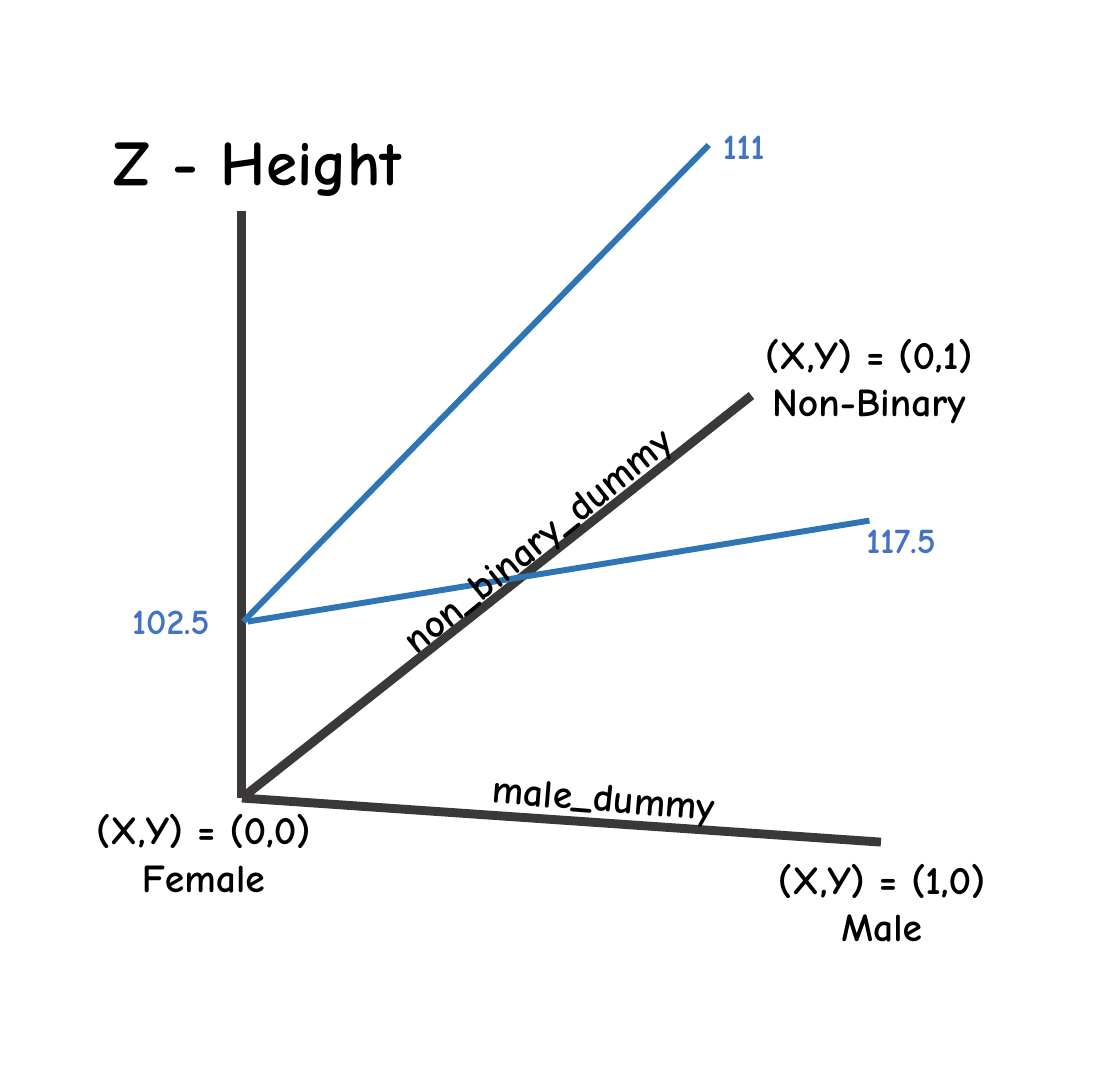
from typing import NamedTuple

from lxml import etree
from pptx import Presentation
from pptx.dml.color import RGBColor
from pptx.enum import shapes, text
from pptx.oxml import ns
from pptx.util import Pt

FONT = "Comic Neue"
INK, AXIS, SLOPE, VALUE = "000000", "3B3838", "2E75B6", "4472C4"


class Point(NamedTuple):
    x: float
    y: float


class Line(NamedTuple):
    start: Point
    end: Point
    color: str
    width: float


class Label(NamedTuple):
    words: str
    left: float
    top: float
    width: float
    height: float
    size: float = 20
    color: str = INK
    center: bool = True
    turn: float = 0


def rgb(code: str) -> RGBColor:
    return RGBColor.from_string(code)


def draw_line(slide, line: Line) -> None:
    link = slide.shapes.add_connector(
        shapes.MSO_CONNECTOR.STRAIGHT,
        *(Pt(n) for n in (*line.start, *line.end)))
    link.line.color.rgb = rgb(line.color)
    link.line.width = Pt(line.width)
    etree.SubElement(link._element.spPr, ns.qn("a:effectLst"))


def write(frame, words: str, *, size: float, color: str, center: bool) -> None:
    """Fill a text frame, one paragraph for each line of words."""
    frame.text = words
    align = text.PP_ALIGN.CENTER if center else text.PP_ALIGN.LEFT
    for para in frame.paragraphs:
        para.alignment = align
        for run in para.runs:
            font = run.font
            font.name, font.size, font.bold = FONT, Pt(size), True
            font.color.rgb = rgb(color)


def draw_label(slide, label: Label) -> None:
    box = slide.shapes.add_textbox(
        Pt(label.left), Pt(label.top), Pt(label.width), Pt(label.height))
    box.rotation = label.turn
    frame = box.text_frame
    frame.word_wrap = True
    frame.auto_size = text.MSO_AUTO_SIZE.SHAPE_TO_FIT_TEXT
    write(frame, label.words, size=label.size, color=label.color,
          center=label.center)


def value(words: str, left: float, top: float, width: float) -> Label:
    """Describe a predicted height at the end of a slope."""
    return Label(words, left, top, width, 29, 18, VALUE, False)


ORIGIN = Point(122.4, 403.9)
AXIS_ENDS = [Point(122.4, 106.6), Point(380.2, 200.2), Point(445.7, 426.2)]
LINES = [Line(end, ORIGIN, AXIS, 4.5) for end in AXIS_ENDS] + [
    Line(Point(123.1, 314.6), Point(358.6, 73.4), SLOPE, 3),
    Line(Point(125.3, 314.6), Point(439.9, 263.5), SLOPE, 3),
]
LABELS = [
    Label("(X,Y) = (0,1)\nNon-Binary", 370.1, 163.4, 139, 55.4),
    Label("Z - Height", 41, 58.3, 178.6, 46, size=32),
    Label("(X,Y) = (1,0)\nMale", 376.6, 429.1, 139, 55.4),
    Label("(X,Y) = (0,0)\nFemale", 33.1, 403.9, 139.7, 55.4),
    value("102.5", 59.8, 299.5, 61.2),
    value("111", 358.6, 59, 43.2),
    value("117.5", 431.3, 258.5, 61.9),
    Label("male_dummy", 228.2, 387.4, 154.8, 31.7, turn=4.6),
    Label("non_binary_dummy", 165.6, 257, 211.7, 31.7, turn=321.1),
]


def main() -> None:
    deck = Presentation()
    deck.slide_width, deck.slide_height = Pt(566.64), Pt(540)
    slide = deck.slides.add_slide(deck.slide_layouts[6])
    for line in LINES:
        draw_line(slide, line)
    for label in LABELS:
        draw_label(slide, label)
    deck.save("out.pptx")


if __name__ == "__main__":
    main()
